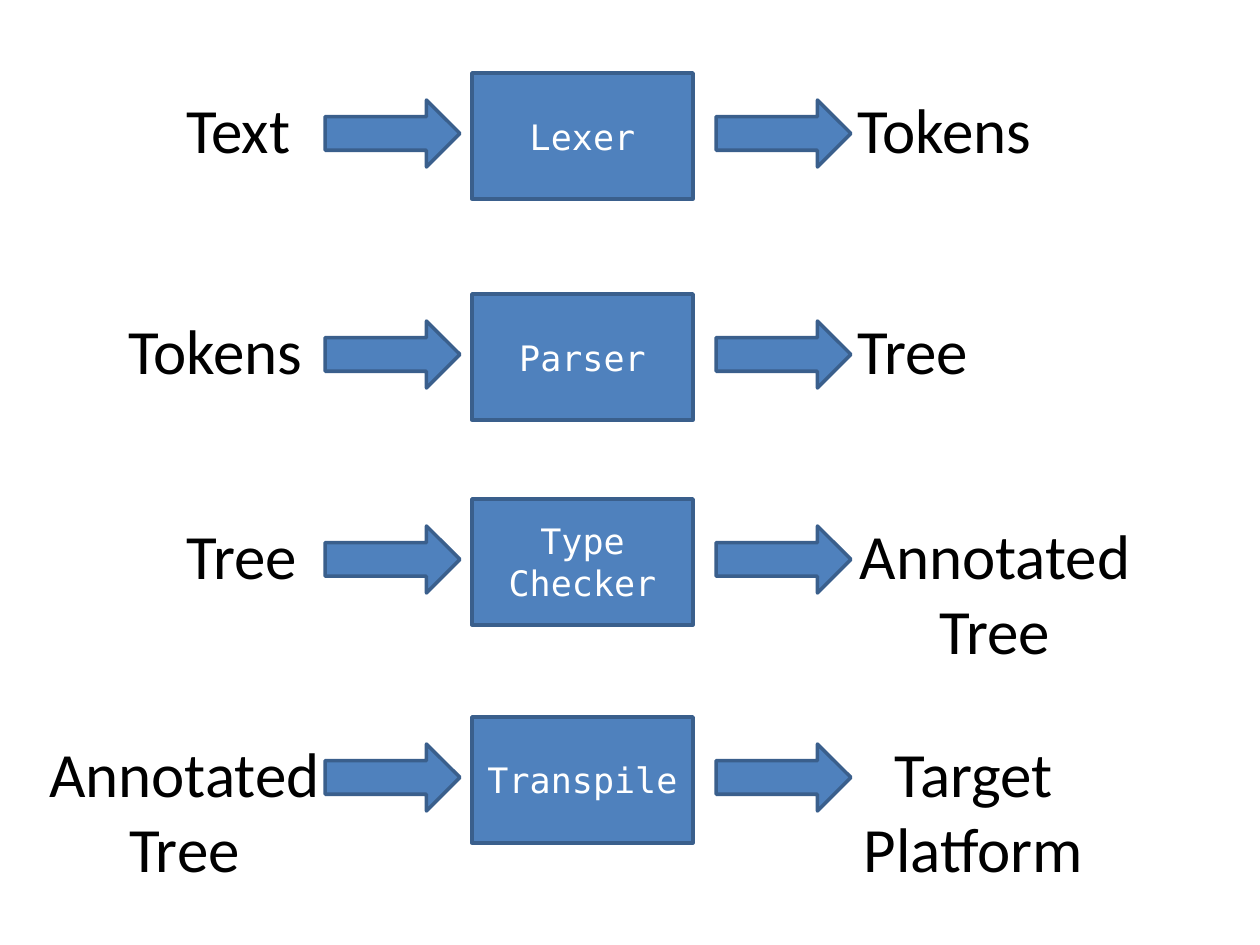
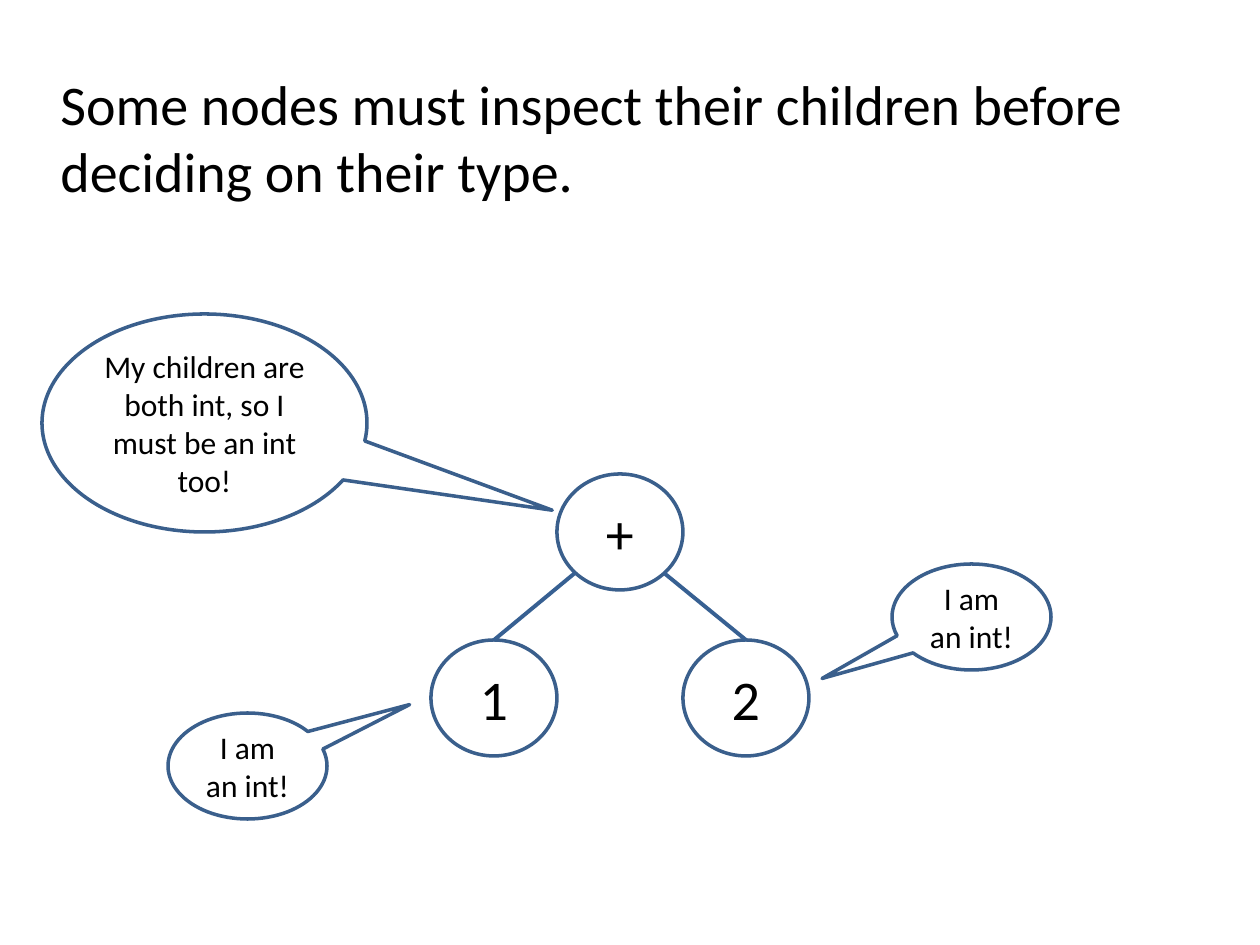
from lxml import etree
from pptx import Presentation
from pptx.dml.color import RGBColor as RGB
from pptx.enum.shapes import MSO_CONNECTOR as CONN, MSO_SHAPE as SHAPE
from pptx.enum.text import MSO_ANCHOR as ANCHOR, PP_ALIGN as ALIGN
from pptx.oxml.ns import qn
from pptx.util import Emu, Pt

COLORS = {
    "fill": "4F81BD",
    "outline": "3A5F8C",
    "edge": "376092",
    "white": "FFFFFF",
    "black": "000000",
}
SANS = "Calibri"
MONO = "DejaVu Sans Mono"
SCALE = 914400 / 126

STAGES = [
    (73, "Lexer", ("Text", 174, 147), ("Tokens", 242)),
    (294, "Parser", ("Tokens", 116, 204), ("Tree", 242)),
    (499, "Type Checker", ("Tree", 174, 147), ("Annotated Tree", 300)),
    (717, "Transpile", ("Annotated Tree", 32, 305), ("Target Platform", 257)),
]
CALLOUTS = [
    ("I am an int!", (892, 564, 159, 106), (-0.94, 0.58)),
    ("I am an int!", (168, 713, 159, 106), (1.02, -0.58)),
    ("My children are both int, so I must be an int too!",
     (42, 314, 325, 218), (1.07, 0.4)),
]


def px(n):
    return Emu(round(n * SCALE))


def color(name):
    return RGB.from_string(COLORS[name])


def write(sp, text, size=18, font=SANS, ink="black", align=ALIGN.CENTER,
          anchor=ANCHOR.MIDDLE):
    tf = sp.text_frame
    tf.word_wrap = True
    tf.vertical_anchor = anchor
    p = tf.paragraphs[0]
    p.alignment = align
    r = p.add_run()
    r.text = text
    r.font.size = Pt(size)
    r.font.name = font
    r.font.color.rgb = color(ink)


def add_shape(s, kind, box, fill="white"):
    sp = s.shapes.add_shape(kind, *map(px, box))
    sp.shadow.inherit = False
    sp.fill.solid()
    sp.fill.fore_color.rgb = color(fill)
    sp.line.color.rgb = color("outline")
    sp.line.width = Pt(2)
    return sp


def add_label(s, text, box, size, align=ALIGN.LEFT):
    sp = s.shapes.add_textbox(*map(px, box))
    write(sp, text, size, align=align, anchor=ANCHOR.TOP)


def add_stage_label(s, text, x, y, w):
    two_lines = " " in text
    add_label(s, text, (x, y, w, 165 if two_lines else 89), 36,
              ALIGN.CENTER if two_lines else ALIGN.LEFT)


def add_stage(s, top, name, source, result):
    for x in (325, 716):
        add_shape(s, SHAPE.RIGHT_ARROW, (x, top + 27, 135, 67), "fill")
    box = add_shape(s, SHAPE.RECTANGLE, (472, top, 221, 126), "fill")
    write(box, name, 20, MONO, "white")
    text, x, w = source
    add_stage_label(s, text, x, top + 11, w)
    text, w = result
    add_stage_label(s, text, 845, top + 11, w)


def add_node(s, text, x, y):
    sp = add_shape(s, SHAPE.OVAL, (x, y, 126, 116))
    write(sp, text, 32)
    return sp


def add_edge(s, x, y, child):
    line = s.shapes.add_connector(CONN.STRAIGHT, px(x), px(y), px(x), px(y))
    line.end_connect(child, 0)
    line.line.color.rgb = color("edge")
    line.line.width = Pt(2.25)
    etree.SubElement(line._element.spPr, qn("a:effectLst"))


def add_callout(s, text, box, tip):
    sp = add_shape(s, SHAPE.OVAL_CALLOUT, box)
    for i, value in enumerate(tip):
        sp.adjustments[i] = value
    write(sp, text)


def build_pipeline(s):
    for stage in STAGES:
        add_stage(s, *stage)


def build_tree(s):
    left = add_node(s, "1", 431, 640)
    right = add_node(s, "2", 683, 640)
    add_node(s, "+", 557, 474)
    add_edge(s, 575, 573, left)
    add_edge(s, 664, 573, right)
    for callout in CALLOUTS:
        add_callout(s, *callout)
    add_label(s, "Some nodes must inspect their children before deciding "
                 "on their type.", (48, 63, 1166, 149), 32)


def main():
    prs = Presentation()
    prs.slide_width, prs.slide_height = px(1260), px(945)
    for build in (build_pipeline, build_tree):
        build(prs.slides.add_slide(prs.slide_layouts[6]))
    prs.save("out.pptx")


if __name__ == "__main__":
    main()
